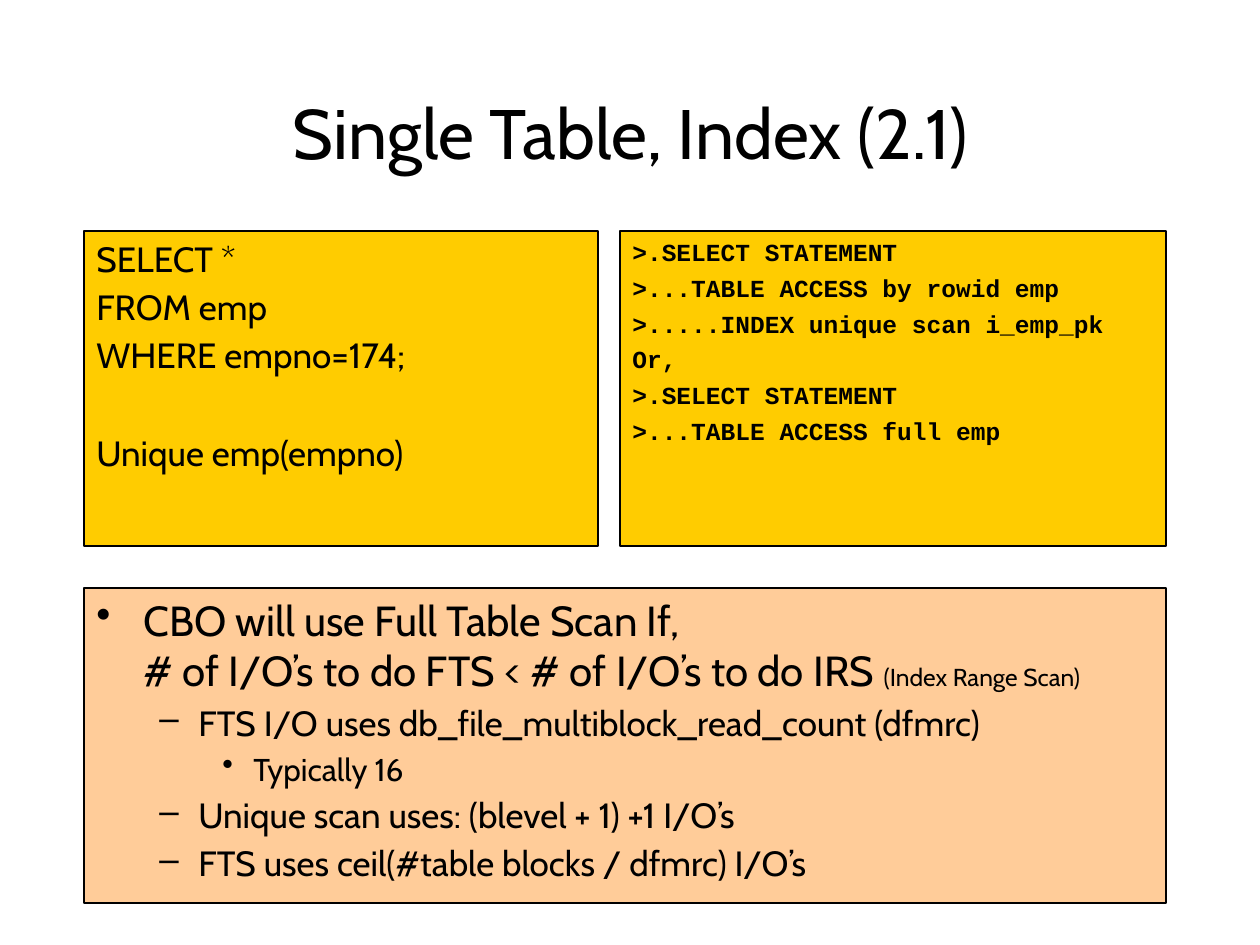
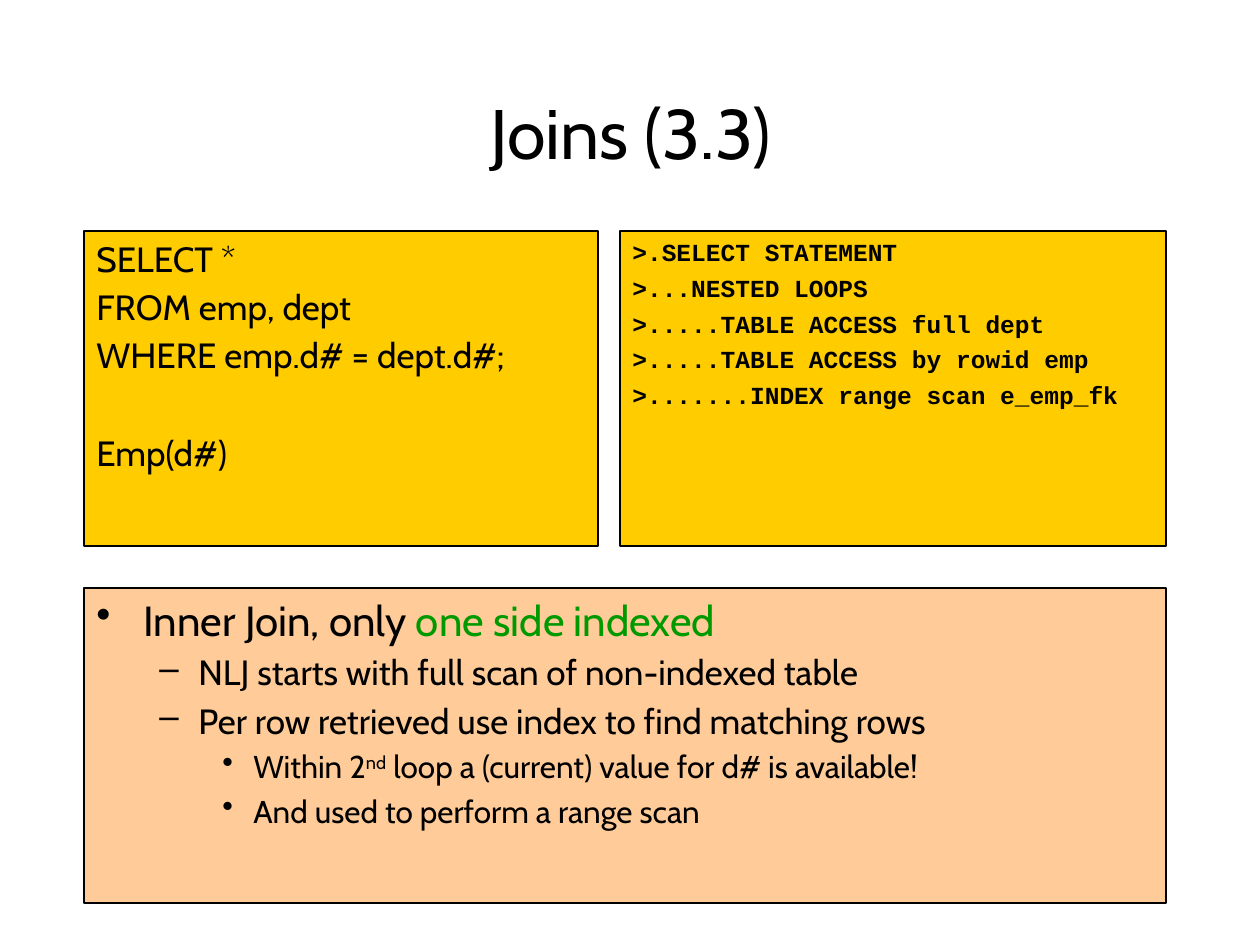
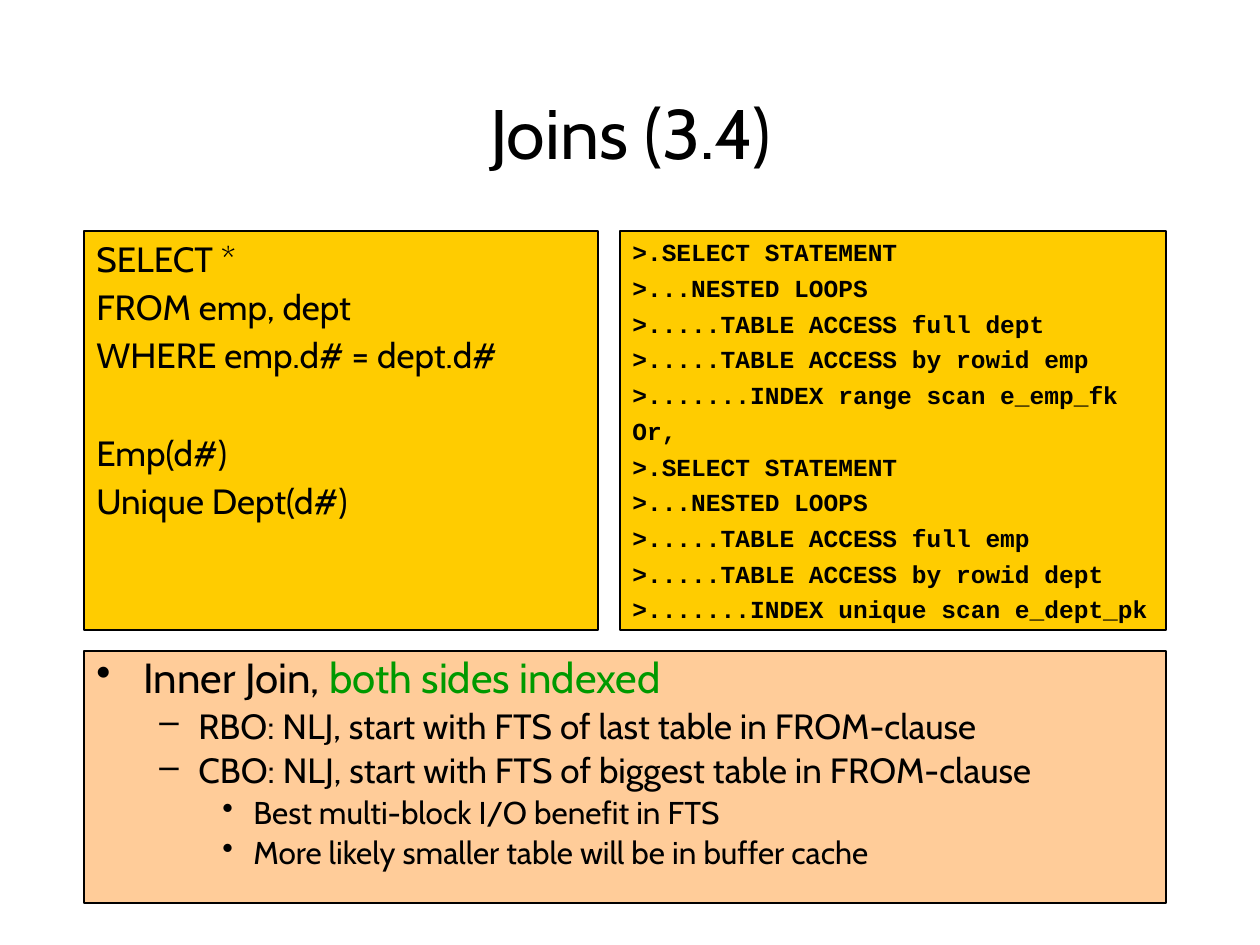
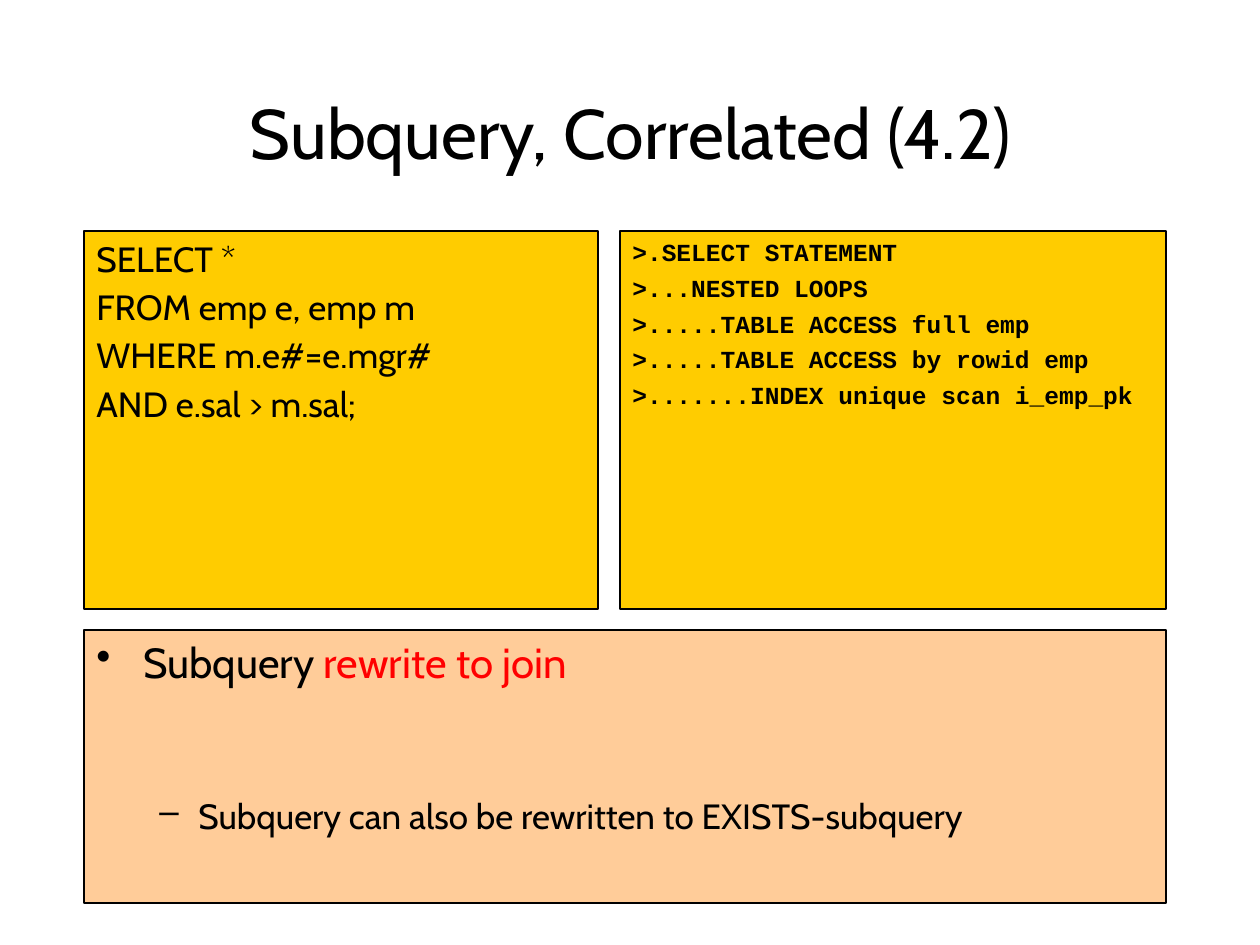
from pptx import Presentation
from pptx.dml.color import RGBColor
from pptx.enum.shapes import MSO_SHAPE as Shape
from pptx.enum.text import MSO_ANCHOR as Anchor, PP_ALIGN as Align
from pptx.util import Emu, Pt
from lxml.etree import SubElement
from pptx.oxml.ns import qn

# Shared style
SANS, MONO = "Cabin", "Courier New"
BLACK, GREEN, RED = "000000", "009900", "FF0000"
CODE_FILL, NOTES_FILL = "FFCC00", "FFCC99"
LEFT, RIGHT, TOP, BOTTOM = 84, 1166, 231, 903
QUERY_WIDTH, PLAN_LEFT = 514, 620
TITLE_BOX = (95, 84, 1071, 95)
SPACE = 3.6        # points before each paragraph
QUERY_GAP = 28     # extra points before the index list

# Level: (text margin, hanging indent, bullet, size)
LEVELS = [(47, 47, "•", 24), (102, 39, "–", 20), (157, 31, "•", 18)]

# Notes are (level, runs, extra space before); a run is text or (text, format)
SLIDES = [
    dict(
        title="Single Table, Index (2.1)", code_height=315, notes_top=588,
        query=["SELECT *", "FROM emp", "WHERE empno=174;"],
        indexes=["Unique emp(empno)"],
        plan=[">.SELECT STATEMENT", ">...TABLE ACCESS by rowid emp",
              ">.....INDEX unique scan i_emp_pk", "Or,",
              ">.SELECT STATEMENT", ">...TABLE ACCESS full emp"],
        notes=[
            (0, ["CBO will use Full Table Scan If,\n"
                 "# of I/O’s to do FTS < # of I/O’s to do IRS ",
                 ("(Index Range Scan)", dict(size=14))], 0),
            (1, ["FTS I/O uses db_file_multiblock_read_count (dfmrc)"], 0),
            (2, ["Typically 16"], 0),
            (1, ["Unique scan uses: (blevel + 1) +1 I/O’s"], 0),
            (1, ["FTS uses ceil(#table blocks / dfmrc) I/O’s"], 0),
        ]),
    dict(
        title="Joins (3.3)", code_height=315, notes_top=588,
        query=["SELECT *", "FROM emp, dept", "WHERE emp.d# = dept.d#;"],
        indexes=["Emp(d#)"],
        plan=[">.SELECT STATEMENT", ">...NESTED LOOPS",
              ">.....TABLE ACCESS full dept", ">.....TABLE ACCESS by rowid emp",
              ">.......INDEX range scan e_emp_fk"],
        notes=[
            (0, ["Inner Join, only ", ("one side indexed", dict(color=GREEN))], 0),
            (1, ["NLJ starts with full scan of non-indexed table"], 0),
            (1, ["Per row retrieved use index to find matching rows"], 0),
            (2, ["Within 2", ("nd", dict(baseline=30)),
                 " loop a (current) value for d# is available!"], 0),
            (2, ["And used to perform a range scan"], 0),
        ]),
    dict(
        title="Joins (3.4)", code_height=399, notes_top=651, line_spacing=0.9,
        query=["SELECT *", "FROM emp, dept", "WHERE emp.d# = dept.d#"],
        indexes=["Emp(d#)", "Unique Dept(d#)"],
        plan=[">.SELECT STATEMENT", ">...NESTED LOOPS",
              ">.....TABLE ACCESS full dept", ">.....TABLE ACCESS by rowid emp",
              ">.......INDEX range scan e_emp_fk", "Or,",
              ">.SELECT STATEMENT", ">...NESTED LOOPS",
              ">.....TABLE ACCESS full emp", ">.....TABLE ACCESS by rowid dept",
              ">.......INDEX unique scan e_dept_pk"],
        notes=[
            (0, ["Inner Join, ", ("both sides indexed", dict(color=GREEN))], 0),
            (1, ["RBO: NLJ, start with FTS of last table in FROM-clause"], 0),
            (1, ["CBO: NLJ, start with FTS of biggest table in FROM-clause"], 0),
            (2, ["Best multi-block I/O benefit in FTS"], 0),
            (2, ["More likely smaller table will be in buffer cache"], 0),
        ]),
    dict(
        title="Subquery, Correlated (4.2)", code_height=378, notes_top=630,
        query=["SELECT *", "FROM emp e, emp m", "WHERE m.e#=e.mgr#",
               "AND e.sal > m.sal;"],
        indexes=[],
        plan=[">.SELECT STATEMENT", ">...NESTED LOOPS",
              ">.....TABLE ACCESS full emp", ">.....TABLE ACCESS by rowid emp",
              ">.......INDEX unique scan i_emp_pk"],
        notes=[
            (0, ["Subquery ", ("rewrite to join", dict(color=RED))], 0),
            (1, ["Subquery can also be rewritten to EXISTS-subquery"], 58),
        ]),
]


def px(pixels):
    return Emu(round(pixels * 914400 / 126))


def rgb(value):
    return RGBColor.from_string(value)


def add_text(paragraph, text, size=20, font=SANS, color=BLACK, bold=False,
             baseline=0):
    for number, line in enumerate(text.split("\n")):
        if number:
            paragraph.add_line_break()
        run = paragraph.add_run()
        run.text = line
        run.font.size, run.font.name, run.font.bold = Pt(size), font, bold
        run.font.color.rgb = rgb(color)
        if baseline:
            run._r.get_or_add_rPr().set("baseline", str(baseline * 1000))


def add_paragraph(frame, margin, hanging, bullet=None, level=0, space=SPACE,
                  line_spacing=None):
    first = frame.paragraphs[0]
    paragraph = frame.add_paragraph() if first.runs else first
    paragraph.alignment, paragraph.level = Align.LEFT, level
    paragraph.space_before = Pt(space)
    if line_spacing:
        paragraph.line_spacing = line_spacing
    properties = paragraph._p.get_or_add_pPr()
    properties.set("marL", str(px(margin)))
    properties.set("indent", str(-px(hanging)))
    if bullet:
        SubElement(properties, qn("a:buChar")).set("char", bullet)
    return paragraph


def add_panel(slide, left, top, right, bottom, fill):
    panel = slide.shapes.add_shape(
        Shape.RECTANGLE, px(left), px(top), px(right - left), px(bottom - top))
    panel.shadow.inherit = False
    panel.fill.solid()
    panel.fill.fore_color.rgb = rgb(fill)
    panel.line.color.rgb = rgb(BLACK)
    panel.line.width = Pt(0.75)
    frame = panel.text_frame
    frame.word_wrap, frame.vertical_anchor = True, Anchor.TOP
    return frame


def add_title(slide, text):
    frame = slide.shapes.add_textbox(*map(px, TITLE_BOX)).text_frame
    frame.word_wrap, frame.vertical_anchor = True, Anchor.MIDDLE
    frame.paragraphs[0].alignment = Align.CENTER
    add_text(frame.paragraphs[0], text, size=40)


def add_lines(frame, lines, gap=0, **text_format):
    margin, hanging = LEVELS[0][:2]
    for number, line in enumerate(lines):
        space = SPACE if number else SPACE + gap
        add_text(add_paragraph(frame, margin, hanging, space=space),
                 line, **text_format)


def add_notes(frame, notes, line_spacing):
    for level, runs, extra in notes:
        margin, hanging, bullet, size = LEVELS[level]
        paragraph = add_paragraph(frame, margin, hanging, bullet, level,
                                  SPACE + extra, line_spacing)
        for run in runs:
            text, changes = (run, {}) if isinstance(run, str) else run
            add_text(paragraph, text, **{"size": size, **changes})


presentation = Presentation()
presentation.slide_width, presentation.slide_height = px(1260), px(945)

for content in SLIDES:
    slide = presentation.slides.add_slide(presentation.slide_layouts[6])
    code_bottom = TOP + content["code_height"]
    add_title(slide, content["title"])

    # Explanation across the bottom
    notes = add_panel(slide, LEFT, content["notes_top"], RIGHT, BOTTOM, NOTES_FILL)
    add_notes(notes, content["notes"], content.get("line_spacing"))

    # Execution plan on the right, query and its indexes on the left
    plan = add_panel(slide, PLAN_LEFT, TOP, RIGHT, code_bottom, CODE_FILL)
    add_lines(plan, content["plan"], size=14, font=MONO, bold=True)
    query = add_panel(slide, LEFT, TOP, LEFT + QUERY_WIDTH, code_bottom, CODE_FILL)
    add_lines(query, content["query"])
    add_lines(query, content["indexes"], gap=QUERY_GAP)

presentation.save("out.pptx")
